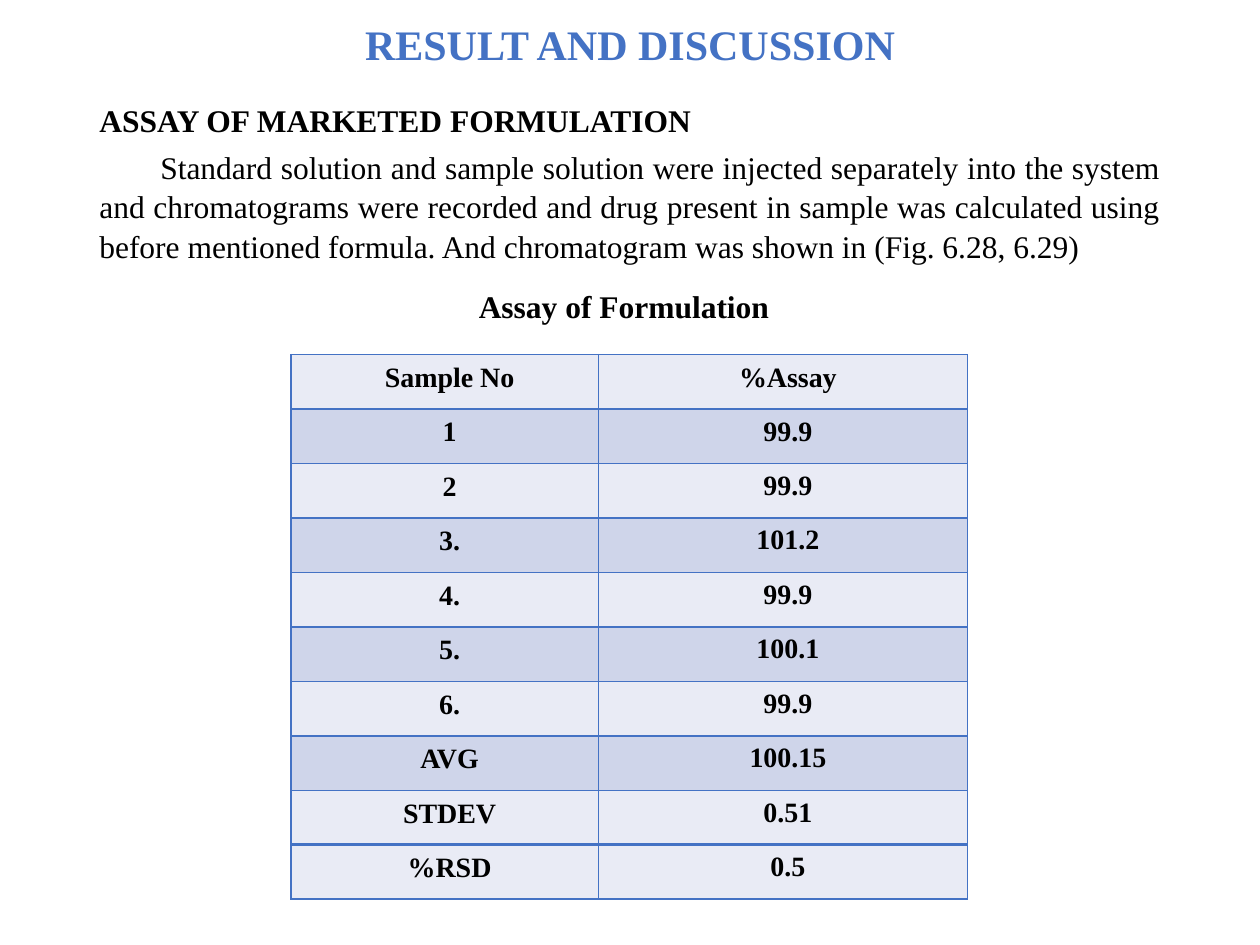
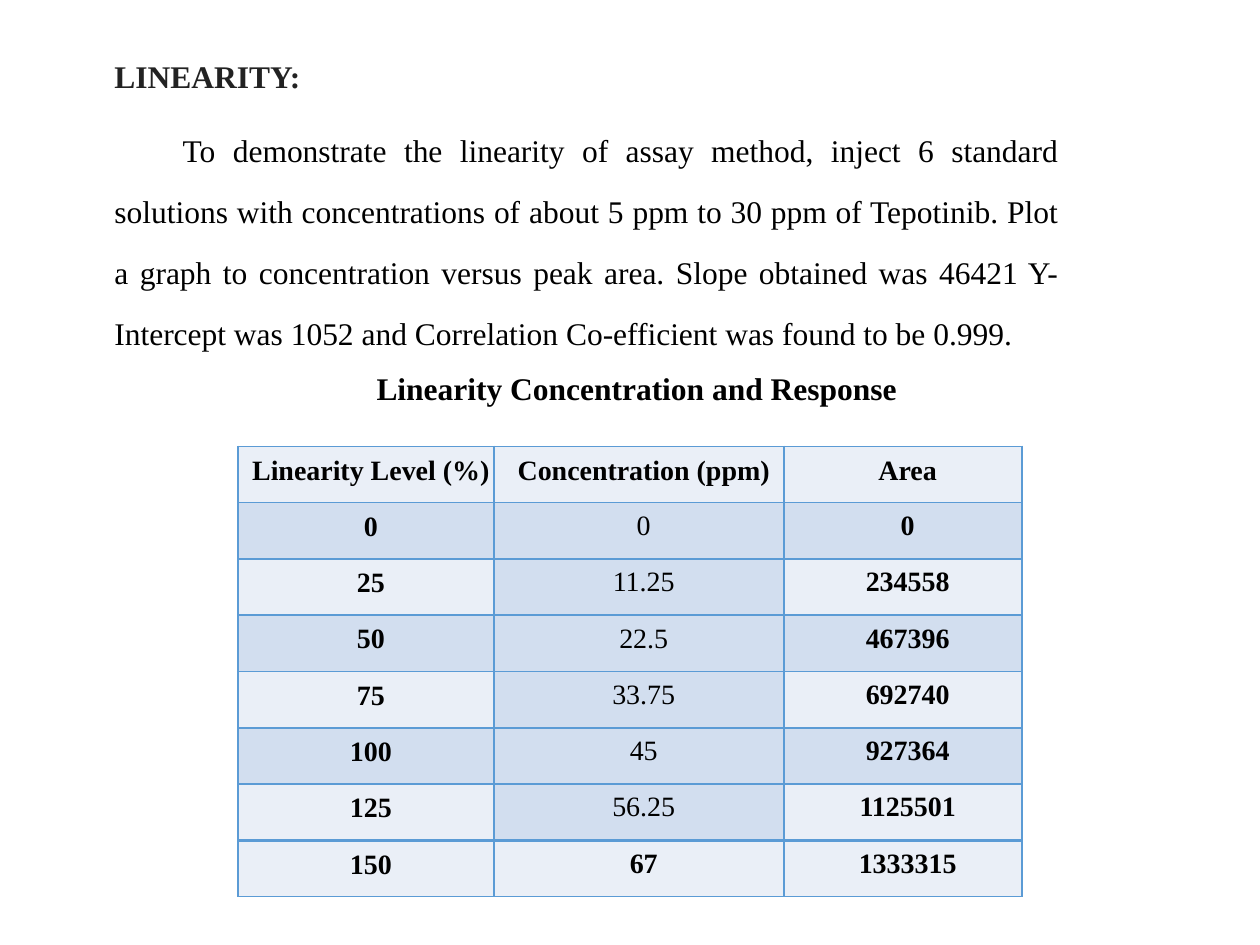
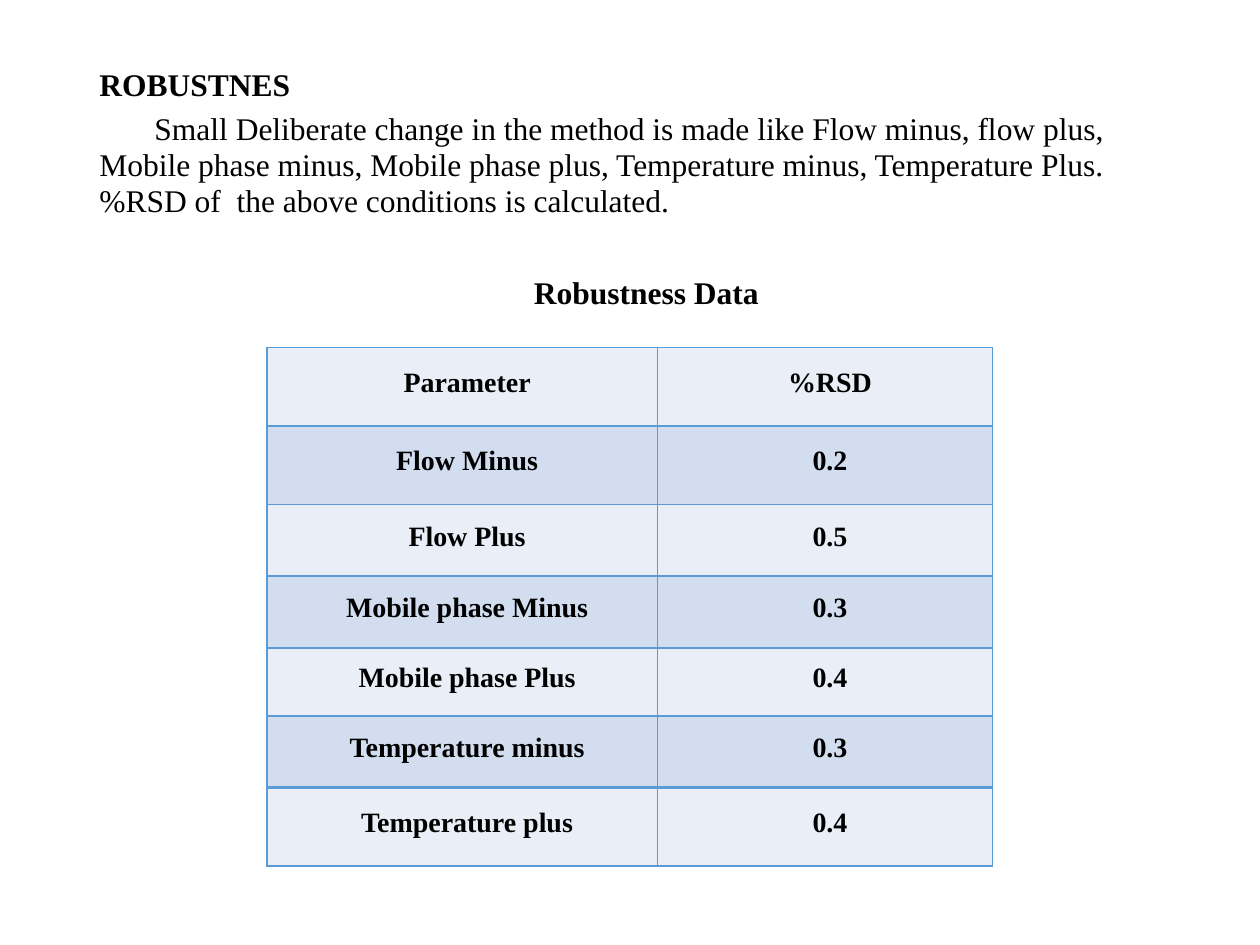
from dataclasses import dataclass

from lxml.etree import SubElement
from pptx import Presentation
from pptx.dml.color import RGBColor as RGB
from pptx.enum.text import MSO_ANCHOR as ANCHOR, PP_ALIGN as ALIGN
from pptx.oxml.ns import qn
from pptx.util import Pt


@dataclass(frozen=True)
class Theme:
    """Colours and type sizes of the deck."""
    font: str = "Times New Roman"
    title_size: int = 24
    text_size: int = 18
    cell_size: int = 16
    black: str = "000000"
    heading_grey: str = "222222"
    accent: str = "4472C4"
    indigo: tuple = ("4472C4", "E9EBF5", "CFD5EA")
    sky: tuple = ("5B9BD5", "EAEFF7", "D2DEEF")


T = Theme()
PAGE_W, PAGE_H = 720, 540
BODY_X, BODY_W = 49.7, 620.6


def style(p, size, bold=False, color=T.black, align=ALIGN.LEFT, line=1.0,
          before=0, left=0, first=0, right=0):
    """Format a paragraph and its runs."""
    p.alignment = align
    p.line_spacing = line
    p.space_before = Pt(before)
    pPr = p._p.get_or_add_pPr()
    for name, value in (("marL", left), ("marR", right), ("indent", first)):
        pPr.set(name, str(Pt(value)))
    for r in p.runs:
        r.font.name = T.font
        r.font.size = Pt(size)
        r.font.bold = bold
        r.font.color.rgb = RGB.from_string(color)


def add_text(s, box, paragraphs, anchor=ANCHOR.TOP):
    """Add a wrapping text box of (text, style options) paragraphs."""
    tf = s.shapes.add_textbox(*map(Pt, box)).text_frame
    tf.word_wrap = True
    tf.vertical_anchor = anchor
    tf.text = "\n".join(text for text, _ in paragraphs)
    for p, (_, options) in zip(tf.paragraphs, paragraphs):
        style(p, **options)


def add_title(s, box, text):
    """Add the centred slide title."""
    options = dict(size=T.title_size, bold=True, color=T.accent,
                   align=ALIGN.CENTER, line=0.9)
    add_text(s, box, [(text, options)], ANCHOR.MIDDLE)


def add_body(s, box, heading, text, heading_style, text_style):
    """Add a bold heading with a paragraph under it."""
    add_text(s, box, [
        (heading, dict(size=T.text_size, bold=True, **heading_style)),
        (text, dict(size=T.text_size, **text_style)),
    ])


def add_caption(s, box, text, left=0):
    """Add the bold caption of a table."""
    add_text(s, box, [(text, dict(size=T.text_size, bold=True, left=left))])


def add_borders(cell, color, top, bottom):
    """Draw the four borders of a cell."""
    tcPr = cell._tc.get_or_add_tcPr()
    for side, width in (("L", 1), ("R", 1), ("T", top), ("B", bottom)):
        ln = SubElement(tcPr, qn(f"a:ln{side}"), w=str(Pt(width)))
        fill = SubElement(ln, qn("a:solidFill"))
        SubElement(fill, qn("a:srgbClr"), val=color)


def add_data_table(s, origin, widths, heights, rows, palette, spacing,
                   head_spacing):
    """Add a banded table with a header, a total row and plain middle columns."""
    border, light, dark = palette
    frame = s.shapes.add_table(len(rows), len(widths), *map(
        Pt, (*origin, sum(widths), sum(heights))))
    table = frame.table
    table.first_row = table.horz_banding = False
    for column, width in zip(table.columns, widths):
        column.width = Pt(width)
    last = len(rows) - 1
    for i, values in enumerate(rows):
        table.rows[i].height = Pt(heights[i])
        for j, value in enumerate(values):
            cell = table.cell(i, j)
            plain = 0 < j < len(widths) - 1 and 0 < i < last
            banded = i % 2 == 1 and i < last
            cell.margin_left = cell.margin_right = 0
            cell.margin_top = cell.margin_bottom = 0
            cell.vertical_anchor = ANCHOR.MIDDLE
            add_borders(cell, border, 2 if i == last else 1,
                        2 if i == last - 1 else 1)
            cell.fill.solid()
            cell.fill.fore_color.rgb = RGB.from_string(
                dark if plain or banded else light)
            cell.text_frame.text = value
            style(cell.text_frame.paragraphs[0], T.cell_size, not plain,
                  align=ALIGN.CENTER, left=5.5,
                  line=Pt(spacing[j] if i else head_spacing))


def assay_slide(s):
    """Build the assay slide."""
    add_title(s, (BODY_X, 0, BODY_W, 53.3), "RESULT AND DISCUSSION")
    add_body(
        s, (BODY_X, 53.3, BODY_W, 460), "ASSAY OF MARKETED FORMULATION",
        "Standard solution and sample solution were injected separately into "
        "the system and chromatograms were recorded and drug present in "
        "sample was calculated using before mentioned formula. And "
        "chromatogram was shown in (Fig. 6.28, 6.29)",
        dict(align=ALIGN.JUSTIFY, line=1.04),
        dict(align=ALIGN.JUSTIFY, line=1.04, before=4.5, first=34.8))
    rows = [("Sample No", "%Assay"), ("1", "99.9"), ("2", "99.9"),
            ("3.", "101.2"), ("4.", "99.9"), ("5.", "100.1"), ("6.", "99.9"),
            ("AVG", "100.15"), ("STDEV", "0.51"), ("%RSD", "0.5")]
    add_data_table(s, (166.3, 202.6), (175.7, 211), [31.15] * len(rows), rows,
                   T.indigo, (13.4, 12.4), 13.4)
    add_caption(s, (65.5, 160.6, 390, 43.9), "Assay of Formulation", 201)


def linearity_slide(s):
    """Build the linearity slide."""
    add_body(
        s, (BODY_X, 31.7, BODY_W, 498.2), "LINEARITY:",
        "To demonstrate the linearity of assay method, inject 6 standard "
        "solutions with concentrations of about 5 ppm to 30 ppm of Tepotinib. "
        "Plot a graph to concentration versus peak area. Slope obtained was "
        "46421 Y-Intercept was 1052 and Correlation Co-efficient was found to "
        "be 0.999.",
        dict(color=T.heading_grey, line=0.9, left=8.6),
        dict(align=ALIGN.JUSTIFY, line=1.62, before=6.6, left=8.6, first=39,
             right=58))
    rows = [("Linearity Level (%)", "Concentration (ppm)", "Area"),
            ("0", "0", "0"), ("25", "11.25", "234558"),
            ("50", "22.5", "467396"), ("75", "33.75", "692740"),
            ("100", "45", "927364"), ("125", "56.25", "1125501"),
            ("150", "67", "1333315")]
    add_data_table(s, (136.1, 255), (146.2, 165.6, 136.1), [32.2] * len(rows),
                   rows, T.sky, (13.4, 12.4, 12.4), 13.7)
    add_caption(s, (64.8, 207.4, 458.6, 51),
                "Linearity Concentration and Response", 143.3)


def robustness_slide(s):
    """Build the robustness slide."""
    add_body(
        s, (BODY_X, 35.3, BODY_W, 463), "ROBUSTNES",
        "Small Deliberate change in the method is made like Flow minus, flow "
        "plus, Mobile phase minus, Mobile phase plus, Temperature minus, "
        "Temperature Plus. %RSD of  the above conditions is calculated.",
        dict(line=0.95), dict(line=0.95, before=4.5, first=31.5))
    rows = [("Parameter", "%RSD"), ("Flow Minus", "0.2"), ("Flow Plus", "0.5"),
            ("Mobile phase Minus", "0.3"), ("Mobile phase Plus", "0.4"),
            ("Temperature minus", "0.3"), ("Temperature plus", "0.4")]
    add_data_table(s, (152.6, 198.7), (223.2, 191.5),
                   (44.8, 44.8, 41, 41, 39, 41, 44.6), rows, T.sky,
                   (13.4, 13.4), 13.7)
    add_caption(s, (298, 152.6, 230.4, 28.8), "Robustness Data")


def main():
    """Build and save the deck."""
    prs = Presentation()
    prs.slide_width, prs.slide_height = Pt(PAGE_W), Pt(PAGE_H)
    for build in (assay_slide, linearity_slide, robustness_slide):
        build(prs.slides.add_slide(prs.slide_layouts[6]))
    prs.save("out.pptx")


if __name__ == "__main__":
    main()
